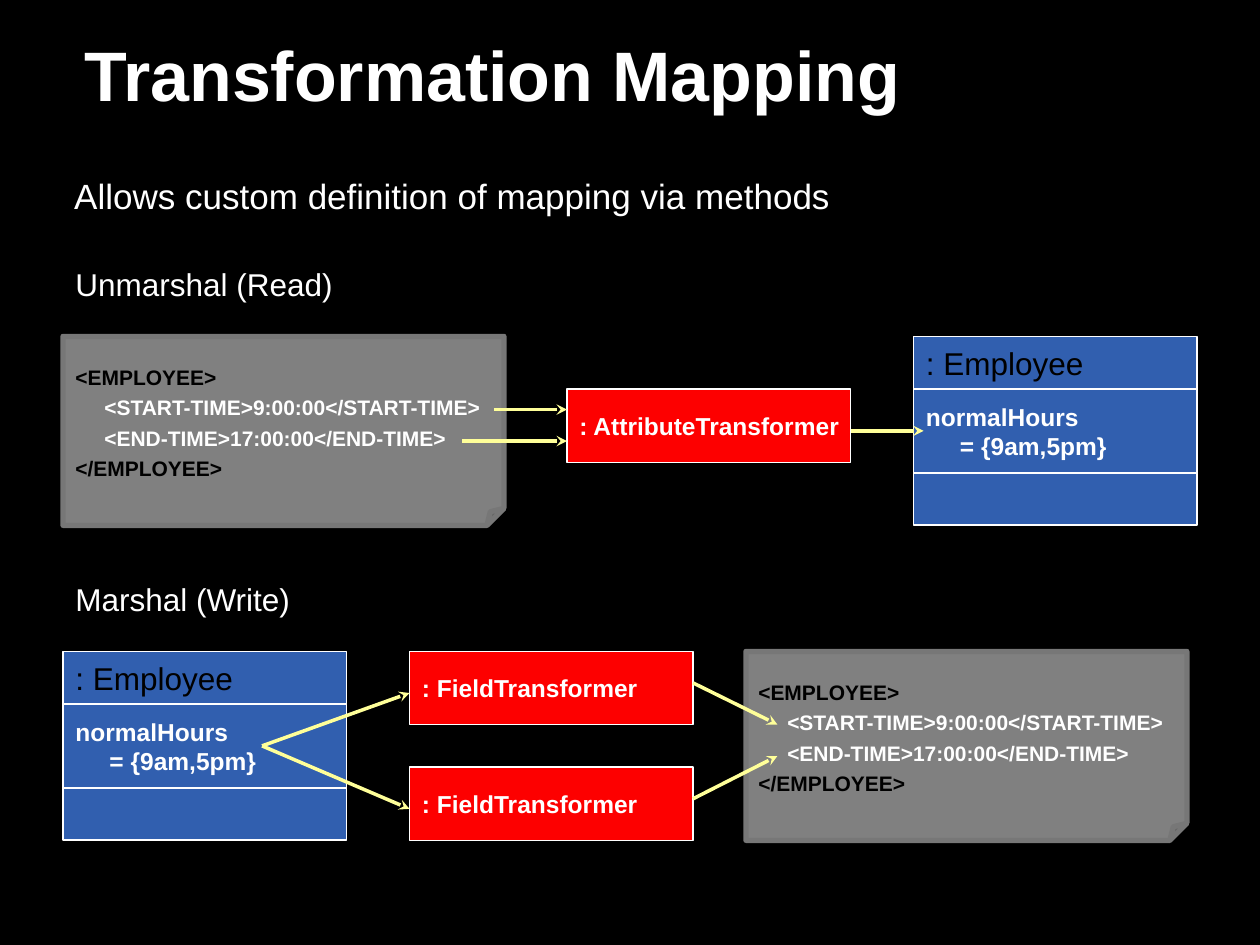
import pptx
import pptx.util
import pptx.dml.color
import pptx.enum.shapes
import pptx.enum.text
import pptx.oxml.ns
from dataclasses import dataclass
from lxml import etree

Inches = pptx.util.Inches
Pt = pptx.util.Pt
Shape = pptx.enum.shapes.MSO_SHAPE
Anchor = pptx.enum.text.MSO_ANCHOR
qn = pptx.oxml.ns.qn


@dataclass(frozen=True)
class Theme:
    font: str = "Arial"
    back: str = "000000"
    light: str = "FFFFFF"
    dark: str = "000000"
    note: str = "808080"
    rim: str = "777777"
    card: str = "315FAF"
    step: str = "FD0000"
    arrow: str = "FFFF99"
    title: int = 40
    lead: int = 20
    head: int = 18
    label: int = 14
    code: int = 12


THEME = Theme()


def color(value):
    return pptx.dml.color.RGBColor.from_string(value)


def apply(target, values):
    for name, value in values.items():
        setattr(target, name, value)


def write(shape, lines, size, bold=False, gap=0, anchor=Anchor.MIDDLE, inset=(0.1, 0.05)):
    side, edge = inset
    frame = shape.text_frame
    apply(frame, {
        "word_wrap": True,
        "auto_size": pptx.enum.text.MSO_AUTO_SIZE.NONE,
        "vertical_anchor": anchor,
        "margin_left": Inches(side),
        "margin_right": 0,
        "margin_top": Inches(edge),
        "margin_bottom": Inches(edge),
    })
    for index, (text, tint, indent) in enumerate(lines):
        para = frame.paragraphs[0] if index == 0 else frame.add_paragraph()
        para.text = text
        apply(para, {
            "alignment": pptx.enum.text.PP_ALIGN.LEFT,
            "space_before": Pt(gap if index else 0),
        })
        if indent:
            para._p.get_or_add_pPr().set("marL", str(Inches(indent)))
        apply(para.font, {"name": THEME.font, "size": Pt(size), "bold": bold})
        para.font.color.rgb = color(tint)


def add_box(slide, box, fill, line=THEME.light, width=1, kind=Shape.RECTANGLE):
    shape = slide.shapes.add_shape(kind, *map(Inches, box))
    shape.shadow.inherit = False
    shape.fill.solid()
    shape.fill.fore_color.rgb = color(fill)
    shape.line.color.rgb = color(line)
    shape.line.width = Pt(width)
    return shape


def add_title(slide, box, text):
    title = slide.shapes.title
    apply(title, dict(zip(("left", "top", "width", "height"), map(Inches, box))))
    write(title, [(text, THEME.light, 0)], THEME.title, bold=True, inset=(0, 0))
    title.text_frame.paragraphs[0].line_spacing = 0.85


def add_text(slide, box, text, size, anchor=Anchor.MIDDLE):
    shape = slide.shapes.add_textbox(*map(Inches, box))
    write(shape, [(text, THEME.light, 0)], size, anchor=anchor)


def add_note(slide, box):
    note = add_box(slide, box, THEME.note, THEME.rim, 3, Shape.FOLDED_CORNER)
    guides = note._element.spPr.find(qn("a:prstGeom")).get_or_add_avLst()
    etree.SubElement(guides, qn("a:gd"), name="adj", fmla="val 9000")
    write(note, [
        ("<EMPLOYEE>", THEME.dark, 0),
        ("<START-TIME>9:00:00</START-TIME>", THEME.light, 0.23),
        ("<END-TIME>17:00:00</END-TIME>", THEME.light, 0.23),
        ("</EMPLOYEE>", THEME.dark, 0),
    ], THEME.code, bold=True, gap=3)


def add_card(slide, box):
    left, top, width, height = box
    parts = []
    for share in (5, 8, 5):
        tall = height * share / 18
        parts.append(add_box(slide, (left, top, width, tall), THEME.card))
        top += tall
    write(parts[0], [(": Employee", THEME.dark, 0)], THEME.head)
    write(parts[1], [
        ("normalHours", THEME.light, 0),
        ("= {9am,5pm}", THEME.light, 0.27),
    ], THEME.label, bold=True)


def add_step(slide, box, text):
    step = add_box(slide, box, THEME.step)
    write(step, [(text, THEME.light, 0)], THEME.label, bold=True)


def add_arrow(slide, start, end):
    arrow = slide.shapes.add_connector(
        pptx.enum.shapes.MSO_CONNECTOR.STRAIGHT, *map(Inches, start + end))
    arrow.line.color.rgb = color(THEME.arrow)
    arrow.line.width = Pt(2)
    etree.SubElement(arrow.line._get_or_add_ln(), qn("a:tailEnd"), type="stealth")
    etree.SubElement(arrow._element.spPr, qn("a:effectLst"))


def add_read(slide, box):
    left, top, width, height = box
    add_text(slide, (left, top, width, 0.5), "Unmarshal (Read)", THEME.head)
    row = top + 0.67
    add_note(slide, (left, row, 3.5, 1.5))
    add_step(slide, (left + 4, row + 0.42, 2.25, 0.58), ": AttributeTransformer")
    add_card(slide, (left + 6.75, row, 2.25, 1.5))
    for start, end, drop in ((3.42, 4, 0.58), (3.17, 4, 0.83), (6.25, 6.83, 0.75)):
        add_arrow(slide, (left + start, row + drop), (left + end, row + drop))


def add_write(slide, box):
    left, top, width, height = box
    add_text(slide, (left, top, width, 0.5), "Marshal (Write)", THEME.head)
    row = top + 0.67
    add_card(slide, (left, row, 2.25, 1.5))
    add_note(slide, (left + 5.42, row, 3.5, 1.5))
    for drop, enter, leave, goal in ((0, 0.33, 0.25, 0.58), (0.92, 1.25, 1.17, 0.83)):
        add_step(slide, (left + 2.75, row + drop, 2.25, 0.58), ": FieldTransformer")
        add_arrow(slide, (left + 1.58, row + 0.75), (left + 2.75, row + enter))
        add_arrow(slide, (left + 5, row + leave), (left + 5.67, row + goal))


def main():
    deck = pptx.Presentation()
    apply(deck, {"slide_width": Inches(10), "slide_height": Inches(7.5)})
    slide = deck.slides.add_slide(deck.slide_layouts.get_by_name("Title Only"))
    slide.background.fill.solid()
    slide.background.fill.fore_color.rgb = color(THEME.back)
    add_title(slide, (0.67, 0.05, 8.17, 1.17), "Transformation Mapping")
    add_text(slide, (0.49, 1.22, 6.31, 0.55),
             "Allows custom definition of mapping via methods", THEME.lead, Anchor.BOTTOM)
    add_read(slide, (0.5, 2, 8.92, 2.17))
    add_write(slide, (0.5, 4.5, 8.92, 2.17))
    deck.save("out.pptx")


if __name__ == "__main__":
    main()
